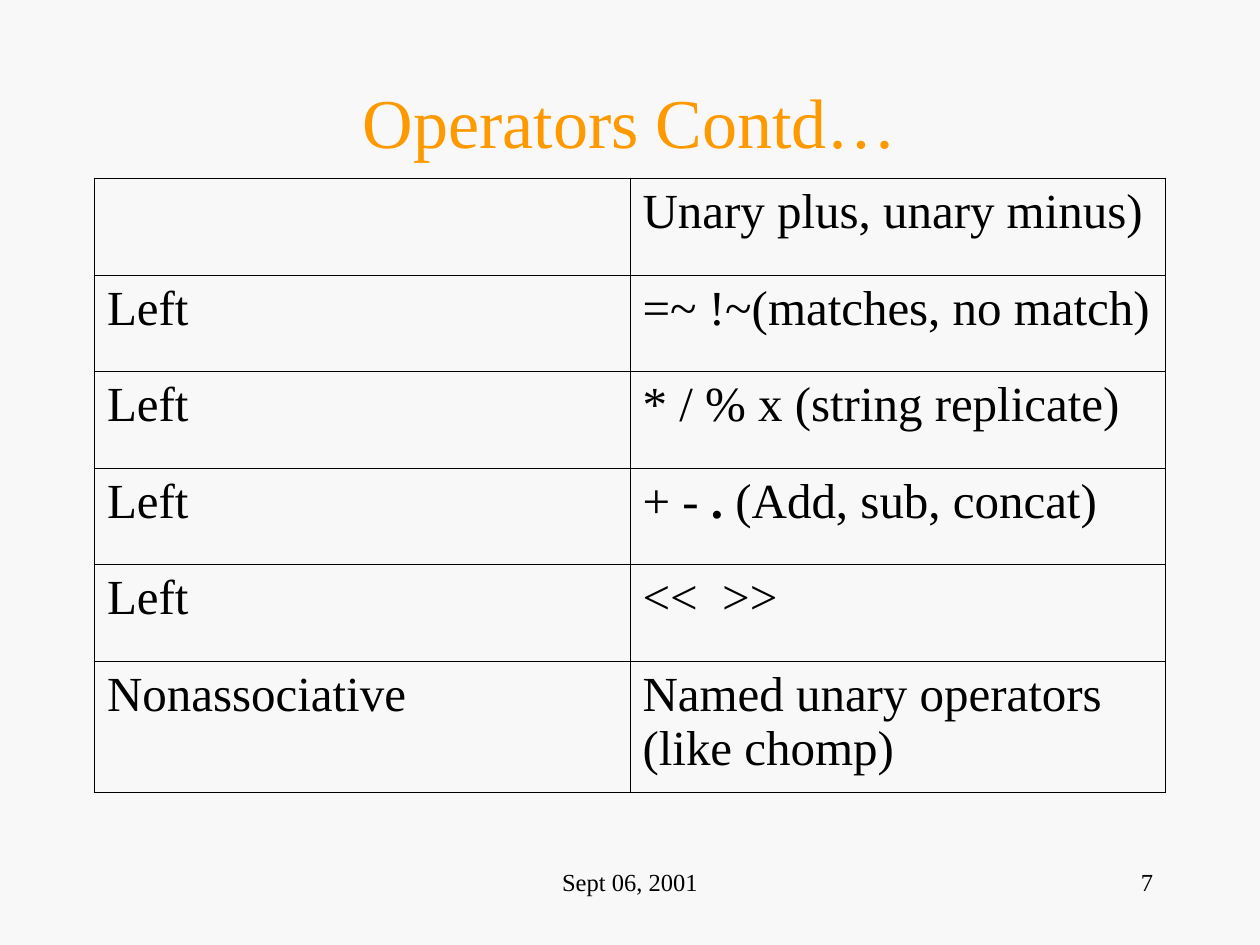
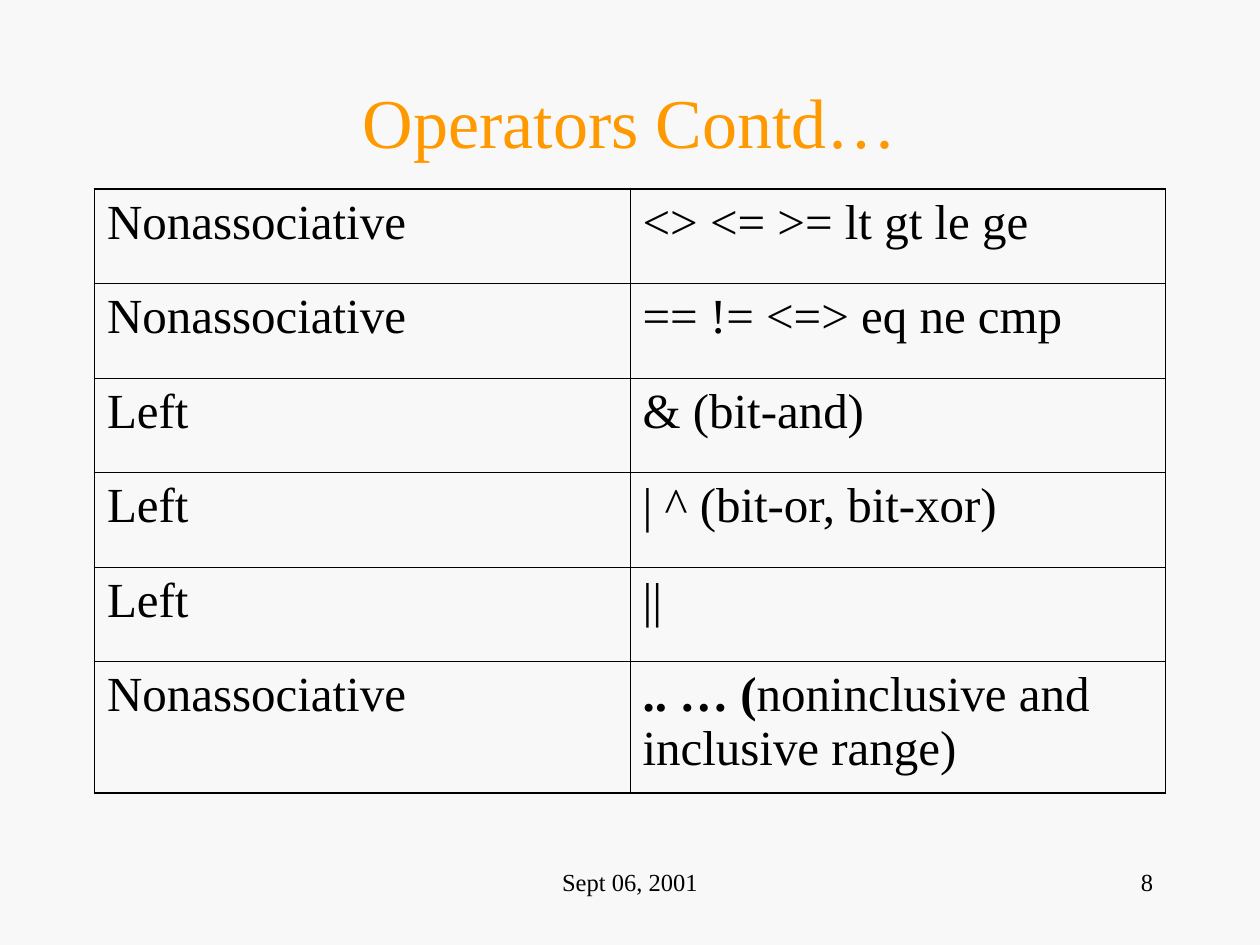
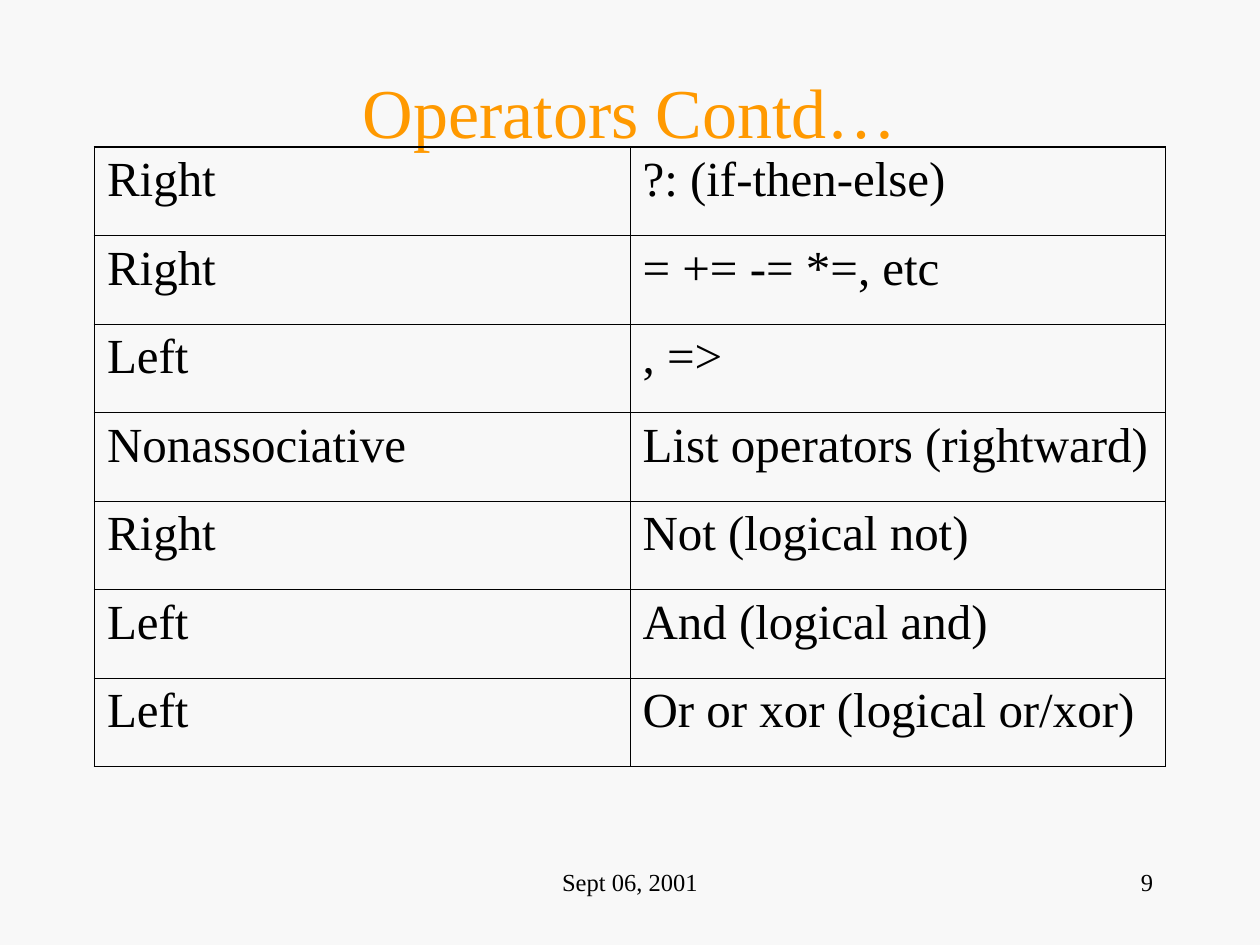
from collections import namedtuple
from dataclasses import dataclass

from lxml.etree import SubElement
from pptx import Presentation
from pptx.dml.color import RGBColor
from pptx.enum.text import MSO_ANCHOR, MSO_AUTO_SIZE, PP_ALIGN
from pptx.oxml.ns import qn
from pptx.util import Inches, Pt


@dataclass(frozen=True)
class Theme:
    font: str = "Times New Roman"
    paper: str = "F8F8F8"
    heading: str = "FF9900"
    ink: str = "000000"
    title_size: int = 40
    body_size: int = 28
    footer_size: int = 14
    cell_gap: int = 7
    outer_line: float = 1.08
    inner_line: float = 0.45


THEME = Theme()
UNIT = Inches(1) // 12  # the slide is a grid of 120 columns by 90 rows
Box = namedtuple("Box", "left top width height")

TITLE = "Operators Contd…"
DATE = "Sept 06, 2001"
DATE_BOX = Box(41, 82, 38, 6)
NUMBER_BOX = Box(86, 82, 25, 6)
FIRST_NUMBER = 7
WRAPPED_ROW = 12.5  # height of a row whose text takes two lines

# Each row pairs an associativity with operators; a list holds (text, bold) runs
OPERATOR_SLIDES = [
    dict(
        title_box=Box(9, 8, 102, 7),
        table_box=Box(9, 17, 102, 58.5),
        last_row=WRAPPED_ROW,
        rows=[
            ("", "Unary plus, unary minus)"),
            ("Left", "=~ !~(matches, no match)"),
            ("Left", "* / % x (string replicate)"),
            ("Left", [("+ - ", False), (".", True), (" (Add, sub, concat)", False)]),
            ("Left", "<<  >>"),
            ("Nonassociative", "Named unary operators (like chomp)"),
        ],
    ),
    dict(
        title_box=Box(9, 8, 102, 7),
        table_box=Box(9, 18, 102, 57.5),
        last_row=WRAPPED_ROW,
        rows=[
            ("Nonassociative", "<> <= >= lt gt le ge"),
            ("Nonassociative", "== != <=> eq ne cmp"),
            ("Left", "& (bit-and)"),
            ("Left", "| ^ (bit-or, bit-xor)"),
            ("Left", "||"),
            ("Nonassociative",
             [(".. … (", True), ("noninclusive and inclusive range)", False)]),
        ],
    ),
    dict(
        title_box=Box(9, 8, 102, 5),
        table_box=Box(9, 14, 102, 59),
        rows=[
            ("Right", "?: (if-then-else)"),
            ("Right", "= += -= *=, etc"),
            ("Left", ", =>"),
            ("Nonassociative", "List operators (rightward)"),
            ("Right", "Not (logical not)"),
            ("Left", "And (logical and)"),
            ("Left", "Or or xor (logical or/xor)"),
        ],
    ),
]


def grid(length):
    return int(length * UNIT)


def write(frame, content, size, color=THEME.ink, align=PP_ALIGN.LEFT, before=0):
    """Fill a text frame with one paragraph of plain text or (text, bold) runs."""
    frame.word_wrap = True
    paragraph = frame.paragraphs[0]
    paragraph.alignment = align
    paragraph.space_before = Pt(before)
    runs = [(content, False)] if isinstance(content, str) else content
    for text, bold in runs:
        if not text:
            continue
        run = paragraph.add_run()
        run.text = text
        run.font.name = THEME.font
        run.font.size = Pt(size)
        run.font.bold = bold
        run.font.color.rgb = RGBColor.from_string(color)


def add_title(slide, box):
    title = slide.shapes.title
    title.left, title.top, title.width, title.height = map(grid, box)
    frame = title.text_frame
    frame.auto_size = MSO_AUTO_SIZE.NONE
    frame.vertical_anchor = MSO_ANCHOR.MIDDLE
    write(frame, TITLE, THEME.title_size, color=THEME.heading, align=PP_ALIGN.CENTER)


def set_borders(cell, outer_sides):
    properties = cell._tc.get_or_add_tcPr()
    for side in "LRTB":
        weight = THEME.outer_line if side in outer_sides else THEME.inner_line
        line = SubElement(properties, qn(f"a:ln{side}"), w=str(int(Pt(weight))))
        fill = SubElement(line, qn("a:solidFill"))
        SubElement(fill, qn("a:srgbClr"), val=THEME.ink)


def add_operator_table(slide, box, rows, last_row=None):
    count = len(rows)
    last_row = last_row or box.height / count
    table = slide.shapes.add_table(count, 2, *map(grid, box)).table
    table.first_row = table.horz_banding = False
    for column in table.columns:
        column.width = grid(box.width / 2)
    for r, entries in enumerate(rows):
        is_last = r == count - 1
        height = last_row if is_last else (box.height - last_row) / (count - 1)
        table.rows[r].height = grid(height)
        for c, entry in enumerate(entries):
            cell = table.cell(r, c)
            write(cell.text_frame, entry, THEME.body_size, before=THEME.cell_gap)
            set_borders(cell, "LR"[c] + "T" * (r == 0) + "B" * is_last)
            cell.fill.background()


def add_footer(slide, number):
    for box, text, align in (
        (DATE_BOX, DATE, PP_ALIGN.CENTER),
        (NUMBER_BOX, str(number), PP_ALIGN.RIGHT),
    ):
        footer = slide.shapes.add_textbox(*map(grid, box))
        write(footer.text_frame, text, THEME.footer_size, align=align)


def add_operator_slide(prs, number, title_box, table_box, rows, last_row=None):
    slide = prs.slides.add_slide(prs.slide_layouts.get_by_name("Title Only"))
    add_title(slide, title_box)
    add_operator_table(slide, table_box, rows, last_row)
    add_footer(slide, number)


def main():
    prs = Presentation()
    prs.slide_width, prs.slide_height = grid(120), grid(90)
    # Shared background
    backdrop = prs.slide_master.background.fill
    backdrop.solid()
    backdrop.fore_color.rgb = RGBColor.from_string(THEME.paper)
    for number, content in enumerate(OPERATOR_SLIDES, start=FIRST_NUMBER):
        add_operator_slide(prs, number, **content)
    prs.save("out.pptx")


if __name__ == "__main__":
    main()
